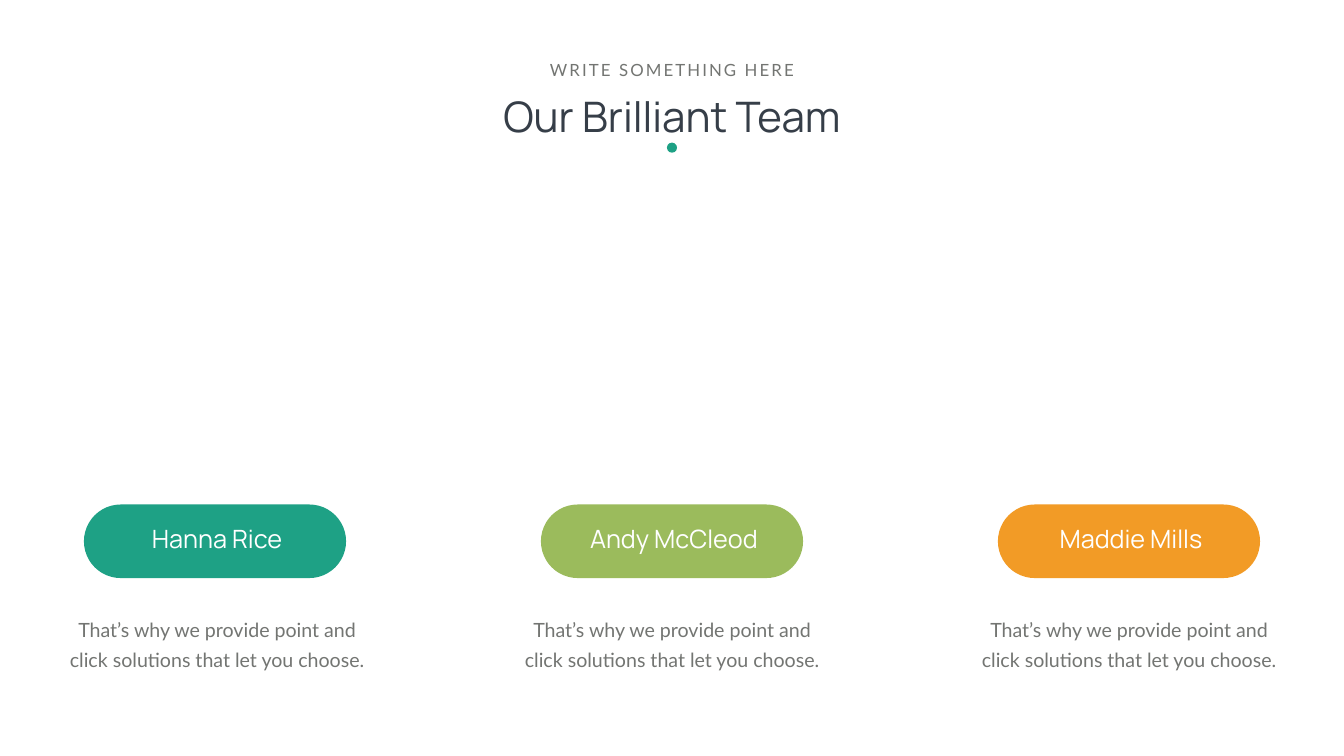
from pptx import Presentation
from pptx.dml.color import RGBColor
from pptx.enum.shapes import MSO_SHAPE as SHAPE
from pptx.enum.text import MSO_ANCHOR as ANCHOR, PP_ALIGN as ALIGN
from pptx.util import Inches, Pt

WIDTH, HEIGHT = 26.66, 15
PITCH = 9.065  # distance between team columns
PILL_W, PILL_H = 5.2, 1.46

WHITE = RGBColor(0xFF, 0xFF, 0xFF)
DARK = RGBColor(0x36, 0x3E, 0x48)
GRAY = RGBColor(0x73, 0x75, 0x72)
TEAL = RGBColor(0x1E, 0xA1, 0x85)
GREEN = RGBColor(0x9B, 0xBB, 0x5C)
ORANGE = RGBColor(0xF2, 0x9B, 0x26)

TITLE = {"name": "Manrope", "size": Pt(60), "bold": False}
KICKER = {"name": "Lato", "size": Pt(24)}
NAME = {"name": "Manrope", "size": Pt(36)}
BODY = {"name": "Lato", "size": Pt(28)}

BLURB = "That’s why we provide point and click solutions that let you choose."
# name, colour, small shift of the text below the pill
TEAM = [("Hanna Rice", TEAL, 0.04),
        ("Andy McCleod", GREEN, 0),
        ("Maddie Mills", ORANGE, 0)]


def inches(*box):
    return [Inches(v) for v in box]


def set_text(sp, text, fmt, color, anchor=ANCHOR.TOP, wrap=True,
             line=None, side=0, top=0):
    """Fill a text frame with one centred paragraph and return its run."""
    tf = sp.text_frame
    frame = {"word_wrap": wrap, "vertical_anchor": anchor,
             "margin_left": Inches(side), "margin_right": Inches(side),
             "margin_top": Inches(top), "margin_bottom": 0}
    for key, value in frame.items():
        setattr(tf, key, value)
    p = tf.paragraphs[0]
    p.alignment = ALIGN.CENTER
    if line:
        p.line_spacing = line
    r = p.add_run()
    r.text = text
    for key, value in fmt.items():
        setattr(r.font, key, value)
    r.font.color.rgb = color
    return r


def add_filled(s, kind, box, color):
    sp = s.shapes.add_shape(kind, *inches(*box))
    sp.shadow.inherit = False
    sp.fill.solid()
    sp.fill.fore_color.rgb = color
    sp.line.fill.background()
    return sp


def add_header(s, x, y, w):
    """Kicker, title and dot, centred in the given width."""
    kicker = s.shapes.add_textbox(*inches(x + (w - 5.14) / 2, y, 5.14, 0.5))
    r = set_text(kicker, "WRITE SOMETHING HERE", KICKER, GRAY, ANCHOR.MIDDLE, wrap=False)
    r._r.get_or_add_rPr().set("spc", "300")

    title = s.shapes.title
    title.left, title.top, title.width, title.height = inches(x, y + 0.55, w, 1.11)
    set_text(title, "Our Brilliant Team", TITLE, DARK, ANCHOR.BOTTOM)

    add_filled(s, SHAPE.OVAL, (x + w / 2 - 0.1, y + 1.7, 0.2, 0.2), TEAL)


def add_member(s, x, y, name, color, shift):
    """Pill with a name, and a short text below it."""
    pill = add_filled(s, SHAPE.ROUNDED_RECTANGLE, (x, y, PILL_W, PILL_H), color)
    pill.adjustments[0] = 0.5
    label = s.shapes.add_textbox(*inches(x + 0.69, y + 0.37, 3.9, 0.71))
    set_text(label, name, NAME, WHITE, wrap=False)

    w = 6.41
    body = s.shapes.add_textbox(*inches(x + (PILL_W - w) / 2 + shift, y + 2.06, w, 1.25))
    set_text(body, BLURB, BODY, GRAY, line=Pt(43), side=0.1, top=0.06)


def main():
    prs = Presentation()
    prs.slide_width, prs.slide_height = inches(WIDTH, HEIGHT)
    s = prs.slides.add_slide(prs.slide_layouts[5])

    add_header(s, (WIDTH - 16.06) / 2, 1.13, 16.06)

    # Three equal columns around the centre of the slide
    left = (WIDTH - PILL_W) / 2 - PITCH
    for i, member in enumerate(TEAM):
        add_member(s, left + i * PITCH, 10.01, *member)

    prs.save("out.pptx")


if __name__ == "__main__":
    main()
